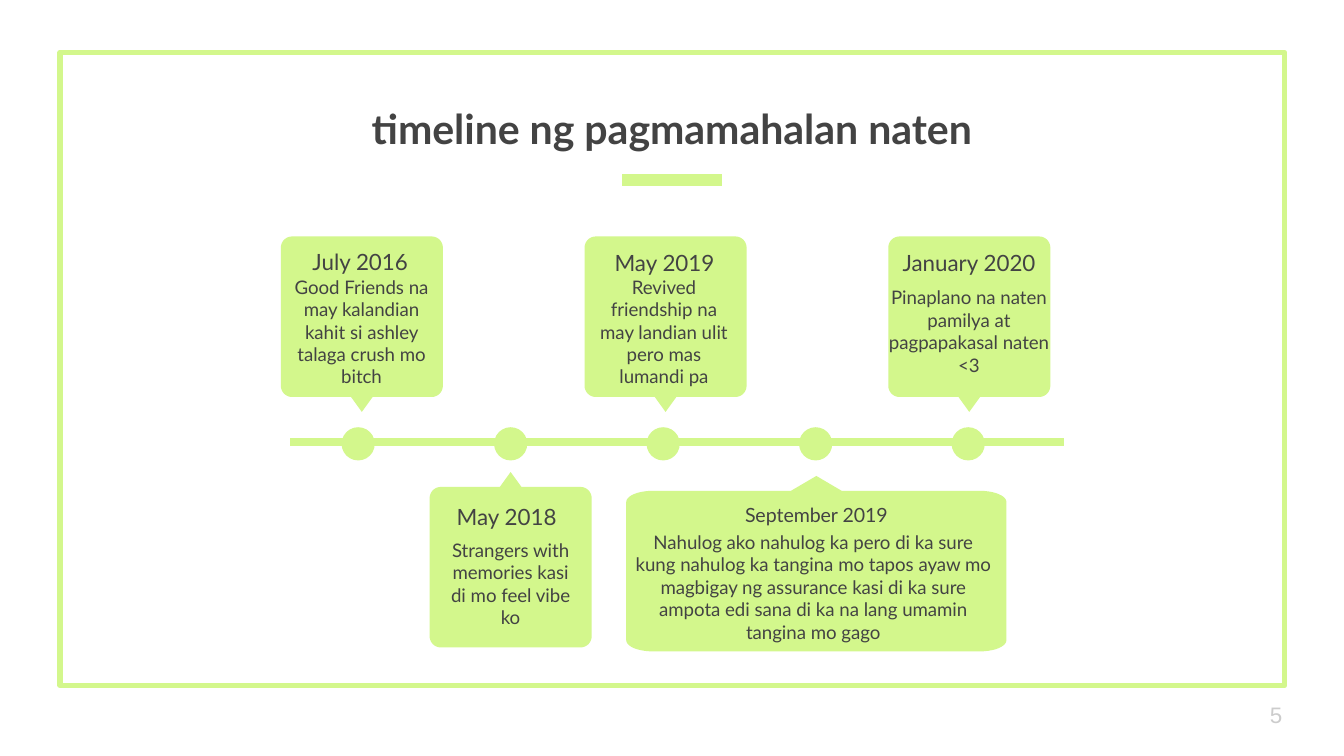
import math
import pptx
import pptx.util
import pptx.dml.color
import pptx.enum.shapes
import pptx.enum.text
from lxml import etree

Pt = pptx.util.Pt
Align = pptx.enum.text.PP_ALIGN
Anchor = pptx.enum.text.MSO_ANCHOR
Shape = pptx.enum.shapes.MSO_SHAPE

COLORS = {"lime": "D3F78C", "dark": "434343", "gray": "CCCCCC"}
BODY = 86
TIP = 8
UNIT = 86.8

CARDS = [
    (150.5, 126.7, UNIT, False,
     ("July 2016", 12, 149.8, 126, 86.4),
     ("Good Friends na may kalandian kahit si ashley talaga crush mo bitch",
      150.5, 140.4, 86.4)),
    (313.2, 126.7, UNIT, False,
     ("May 2019", 12, 312.5, 126.4, 87),
     ("Revived friendship na may landian ulit pero mas lumandi pa",
      312.5, 140.4, 86.4)),
    (475.9, 126.7, UNIT, False,
     ("January 2020", 12, 472, 126.4, 94.3),
     ("Pinaplano na naten pamilya at pagpapakasal naten <3",
      468.7, 146.2, 100.8)),
    (230.2, 252.9, UNIT, True,
     ("May 2018", 12, 229.7, 262.4, 83.5),
     ("Strangers with memories kasi di mo feel vibe ko",
      231.8, 281.5, 83.5)),
    (335.5, 255, 203.7, True,
     ("September 2019", 10.5, 387.4, 262.4, 100),
     ("Nahulog ako nahulog ka pero di ka sure kung nahulog ka tangina mo "
      "tapos ayaw mo magbigay ng assurance kasi di ka sure ampota edi sana "
      "di ka na lang umamin tangina mo gago",
      333.4, 277.2, 204.5)),
]


def tint(name):
    return pptx.dml.color.RGBColor.from_string(COLORS[name])


def paint(shape):
    shape.shadow.inherit = False
    shape.fill.solid()
    shape.fill.fore_color.rgb = tint("lime")
    shape.line.fill.background()


def add_frame(slide):
    frame = slide.shapes.add_shape(
        Shape.RECTANGLE, Pt(32.3), Pt(28.1), Pt(655.9), Pt(339.1))
    frame.shadow.inherit = False
    frame.fill.background()
    frame.line.color.rgb = tint("lime")
    frame.line.width = Pt(3)


def add_rule(slide, left, right, y, width):
    rule = slide.shapes.add_connector(
        pptx.enum.shapes.MSO_CONNECTOR.STRAIGHT,
        Pt(left), Pt(y), Pt(right), Pt(y))
    rule.line.color.rgb = tint("lime")
    rule.line.width = Pt(width)
    space = "{http://schemas.openxmlformats.org/drawingml/2006/main}"
    etree.SubElement(rule._element.spPr, space + "effectLst")


def arc(x, y, rx, ry, start):
    turns = [math.radians(start + 9 * step) for step in range(11)]
    return [(x + rx * math.cos(t), y + ry * math.sin(t)) for t in turns]


def add_bubble(slide, left, top, width, up):
    ry = 6
    rx = ry * width / UNIT
    half = 5.8 * width / UNIT
    mid = width / 2
    tip = [(mid + half, BODY), (mid, BODY + TIP), (mid - half, BODY)]
    dots = (arc(rx, ry, rx, ry, 180)
            + arc(width - rx, ry, rx, ry, 270)
            + arc(width - rx, BODY - ry, rx, ry, 0)
            + tip
            + arc(rx, BODY - ry, rx, ry, 90))
    if up:
        dots = [(x, BODY + TIP - y) for x, y in dots]
    dots = [(Pt(left + x), Pt(top + y)) for x, y in dots]
    pen = slide.shapes.build_freeform(*dots[0])
    pen.add_line_segments(dots[1:], close=True)
    paint(pen.convert_to_shape())


def add_dot(slide, x, y, size):
    paint(slide.shapes.add_shape(
        Shape.OVAL, Pt(x - size / 2), Pt(y - size / 2), Pt(size), Pt(size)))


def set_text(shape, text, size, color="dark", font="Lato",
             align=Align.CENTER, anchor=Anchor.TOP, bold=False):
    frame = shape.text_frame
    frame.text = text
    frame.word_wrap = True
    frame.auto_size = pptx.enum.text.MSO_AUTO_SIZE.NONE
    frame.vertical_anchor = anchor
    frame.margin_left = frame.margin_right = Pt(7.2)
    frame.margin_top = frame.margin_bottom = Pt(7.2)
    line = frame.paragraphs[0]
    line.alignment = align
    for run in line.runs:
        run.font.name = font
        run.font.size = Pt(size)
        run.font.bold = bold
        run.font.color.rgb = tint(color)


def add_text(slide, left, top, width, height, text, size, **style):
    box = slide.shapes.add_textbox(Pt(left), Pt(top), Pt(width), Pt(height))
    set_text(box, text, size, **style)


def add_title(slide, text):
    title = slide.shapes.title
    title.left, title.top = Pt(0), Pt(17.3)
    title.width, title.height = Pt(720), Pt(72)
    set_text(title, text, 22, anchor=Anchor.BOTTOM, bold=True)


def add_card(slide, card):
    left, top, width, up, head, note = card
    add_bubble(slide, left, top, width, up)
    date, size, x, y, wide = head
    add_text(slide, x, y, wide, 26.6, date, size)
    words, x, y, wide = note
    add_text(slide, x, y, wide, 53.3, words, 10)


def main():
    deck = pptx.Presentation()
    deck.slide_width, deck.slide_height = Pt(720), Pt(405)
    slide = deck.slides.add_slide(deck.slide_layouts[5])
    add_frame(slide)
    add_rule(slide, 333.3, 386.7, 96.4, 6)
    add_title(slide, "timeline ng pagmamahalan naten")
    add_rule(slide, 155.4, 569.9, 236.8, 4.2)
    for step in range(5):
        add_dot(slide, 191.9 + 81.7 * step, 237.8, 17.8)
    for card in CARDS:
        add_card(slide, card)
    add_text(slide, 673.2, 367.2, 43.2, 31, "5", 12, color="gray",
             font="Arial", align=Align.LEFT, anchor=Anchor.MIDDLE)
    deck.save("out.pptx")


if __name__ == "__main__":
    main()
